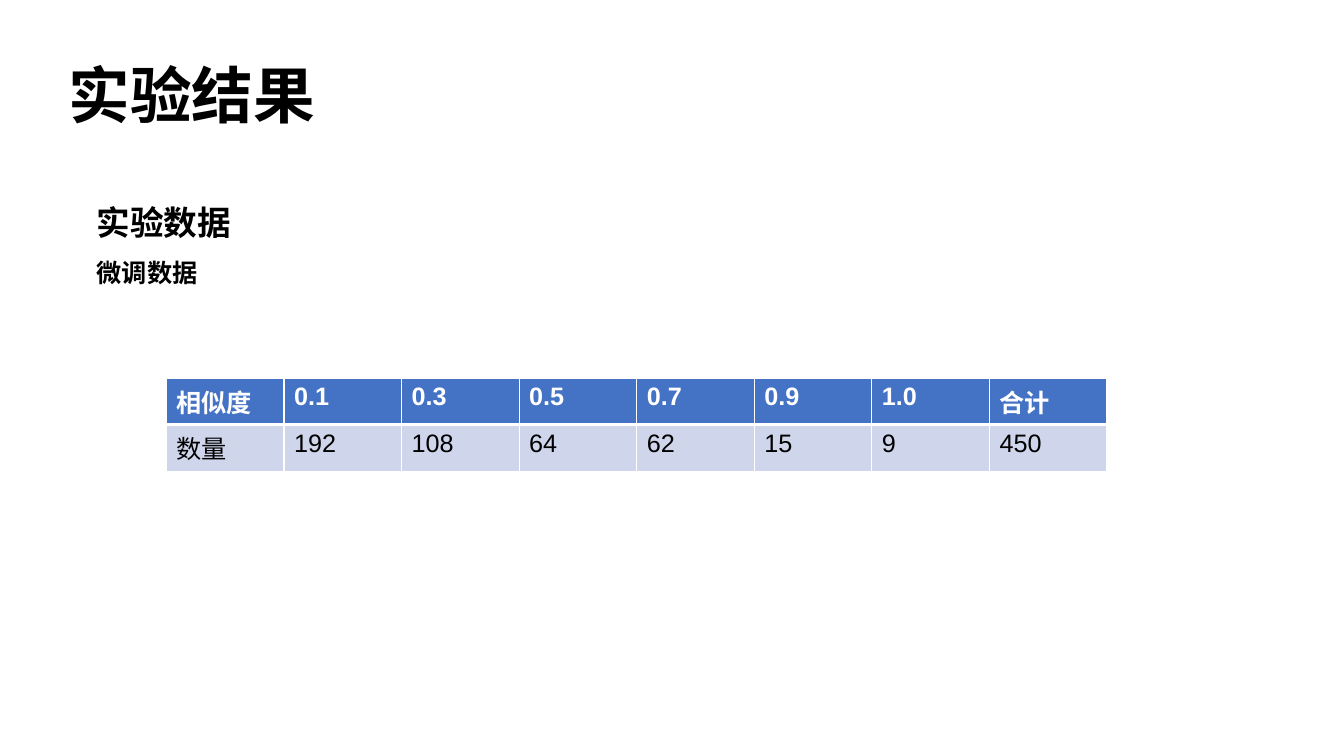
from dataclasses import dataclass

from lxml.etree import SubElement
from pptx import Presentation
from pptx.dml.color import RGBColor
from pptx.enum.text import MSO_ANCHOR, MSO_AUTO_SIZE, PP_ALIGN
from pptx.oxml.ns import qn
from pptx.util import Inches, Pt


@dataclass(frozen=True)
class Theme:
    black: str = "000000"
    white: str = "FFFFFF"
    head: str = "4472C4"
    band: str = "CFD5EA"
    serif: str = "Times New Roman"
    sans: str = "Arial"
    title: int = 44
    lead: int = 24
    text: int = 18


@dataclass(frozen=True)
class Box:
    """Place and size in inches on the slide's grid."""
    left: float
    top: float
    width: float
    height: float

    def place(self, shape) -> None:
        shape.left, shape.top = Inches(self.left), Inches(self.top)
        shape.width, shape.height = Inches(self.width), Inches(self.height)


@dataclass(frozen=True)
class Row:
    cells: tuple[str, ...]
    fill: str
    color: str
    bold: bool
    base: int  # width of the bottom border in points


THEME = Theme()
WIDE, HIGH = 13.33, 7.5


def share(left: float, top: float, width: float, height: float) -> Box:
    """Turn percentages of the slide into a box."""
    return Box(left * WIDE / 100, top * HIGH / 100,
               width * WIDE / 100, height * HIGH / 100)


TITLE_BOX = share(4.35, 3.33, 86.27, 19.33)
BODY_BOX = share(6.45, 23.33, 77.04, 55.73)
TABLE_BOX = share(12.38, 50, 70, 11.12)

LINES = (("实验数据", THEME.lead), ("微调数据", THEME.text))
ROWS = (
    Row(("相似度", "0.1", "0.3", "0.5", "0.7", "0.9", "1.0", "合计"),
        THEME.head, THEME.white, True, 3),
    Row(("数量", "192", "108", "64", "62", "15", "9", "450"),
        THEME.band, THEME.black, False, 1),
)


def style(para, face: str, size: int, color: str, bold: bool) -> None:
    for run in para.runs:
        font = run.font
        font.name, font.size, font.bold = face, Pt(size), bold
        font.color.rgb = RGBColor.from_string(color)


def border(cell, top: int, base: int) -> None:
    props = cell._tc.get_or_add_tcPr()
    sides = (("a:lnL", 1), ("a:lnR", 1), ("a:lnT", top), ("a:lnB", base))
    for spot, (tag, width) in enumerate(sides):
        line = SubElement(props, qn(tag), w=str(Pt(width)))
        fill = SubElement(line, qn("a:solidFill"))
        SubElement(fill, qn("a:srgbClr"), val=THEME.white)
        props.insert(spot, line)  # borders come before the cell's fill


def add_title(slide) -> None:
    shape = slide.shapes.title
    TITLE_BOX.place(shape)
    frame = shape.text_frame
    frame.text = "实验结果"
    frame.auto_size = MSO_AUTO_SIZE.NONE
    frame.vertical_anchor = MSO_ANCHOR.MIDDLE
    para = frame.paragraphs[0]
    para.alignment, para.line_spacing = PP_ALIGN.LEFT, 0.9
    style(para, THEME.serif, THEME.title, THEME.black, True)


def add_body(slide) -> None:
    shape = slide.placeholders[1]
    BODY_BOX.place(shape)
    frame = shape.text_frame
    frame.text = "\n".join(text for text, _ in LINES)
    frame.auto_size = MSO_AUTO_SIZE.NONE
    for para, (_, size) in zip(frame.paragraphs, LINES):
        para.line_spacing, para.space_before = 1.5, Pt(0)
        style(para, THEME.serif, size, THEME.black, True)
        props = para._p.get_or_add_pPr()
        props.set("marL", "0")
        props.set("indent", "0")
        SubElement(props, qn("a:buNone"))


def add_grid(slide) -> None:
    frame = slide.shapes.add_table(len(ROWS), len(ROWS[0].cells), 0, 0,
                                   Inches(TABLE_BOX.width),
                                   Inches(TABLE_BOX.height))
    TABLE_BOX.place(frame)
    top = 1
    for r, row in enumerate(ROWS):
        for c, text in enumerate(row.cells):
            cell = frame.table.cell(r, c)
            cell.text_frame.text = text
            style(cell.text_frame.paragraphs[0], THEME.sans, THEME.text,
                  row.color, row.bold)
            cell.fill.solid()
            cell.fill.fore_color.rgb = RGBColor.from_string(row.fill)
            border(cell, top, row.base)
        top = row.base


def main() -> None:
    deck = Presentation()
    deck.slide_width, deck.slide_height = Inches(WIDE), Inches(HIGH)
    slide = deck.slides.add_slide(deck.slide_layouts[1])
    # Headings
    add_title(slide)
    add_body(slide)
    # Similarity counts
    add_grid(slide)
    deck.save("out.pptx")


if __name__ == "__main__":
    main()
